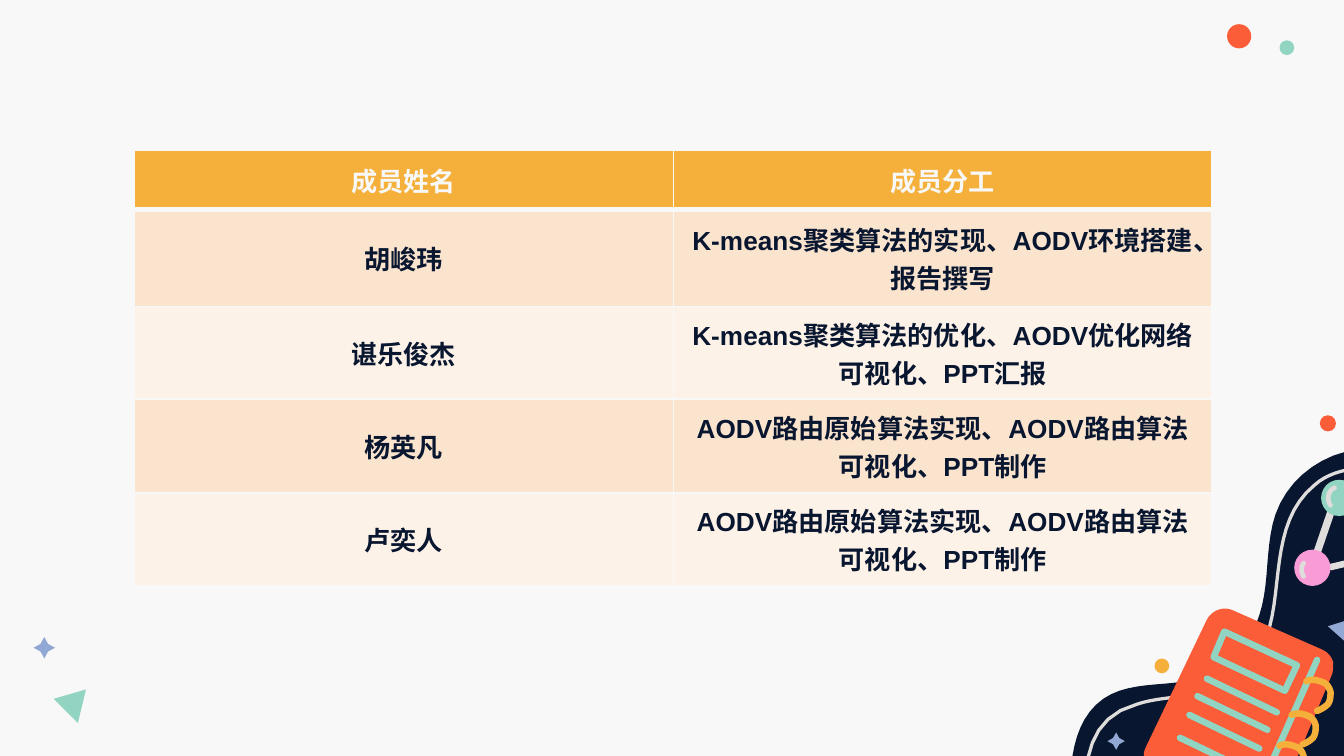
from dataclasses import dataclass

from lxml import etree
from pptx import Presentation
from pptx.dml.color import RGBColor
from pptx.enum.shapes import MSO_CONNECTOR as CONN, MSO_SHAPE as SHAPE
from pptx.enum.text import MSO_ANCHOR as ANCHOR, PP_ALIGN as ALIGN
from pptx.oxml.ns import qn
from pptx.util import Inches, Pt


@dataclass(frozen=True)
class Theme:
    paper: str = "F8F8F8"
    navy: str = "09162F"
    grey: str = "DFDCDC"
    mint: str = "91D4C1"
    pink: str = "F99BD5"
    coral: str = "FB5D38"
    amber: str = "F5B03B"
    blue: str = "91A7D4"
    band_dark: str = "FBE4CE"
    band_light: str = "FDF2E8"
    font: str = "Arial"
    text_size: int = 14
    border: int = 1
    header_border: int = 3


def flatten(start, segments, steps=10):
    """Turn line (x, y) and cubic (x1, y1, x2, y2, x, y) segments into points."""
    pts = [start]
    for seg in segments:
        if len(seg) == 2:
            pts.append(seg)
            continue
        ctrl = [pts[-1], seg[:2], seg[2:4], seg[4:]]
        for i in range(1, steps + 1):
            t = i / steps
            weights = ((1 - t) ** 3, 3 * t * (1 - t) ** 2, 3 * t * t * (1 - t), t ** 3)
            pts.append(tuple(sum(w * c[k] for w, c in zip(weights, ctrl)) for k in (0, 1)))
    return pts


def shift(pts, dx, dy):
    return [(x + dx, y + dy) for x, y in pts]


class SlideBuilder:
    def __init__(self, slide, theme):
        self.s, self.theme = slide, theme
        self._fill(slide.background, theme.paper)

    def _fill(self, target, color):
        fill = target.fill
        fill.solid()
        fill.fore_color.rgb = RGBColor.from_string(color)

    def _stroke(self, sp, color, width):
        """Give a line round ends and joins."""
        self._fill(sp.line, color)
        sp.line.width = Pt(width)
        ln = sp.line._ln
        ln.set("cap", "rnd")
        etree.SubElement(ln, qn("a:round"))

    def preset(self, kind, x, y, size, color):
        sp = self.s.shapes.add_shape(kind, Inches(x), Inches(y), Inches(size), Inches(size))
        sp.shadow.inherit = False
        self._fill(sp, color)
        sp.line.fill.background()
        return sp

    def dot(self, x, y, size, color):
        self.preset(SHAPE.OVAL, x, y, size, color)

    def sparkle(self, x, y, size, color):
        self.preset(SHAPE.STAR_4_POINT, x, y, size, color).adjustments[0] = 0.25

    def _freeform(self, pts, close):
        emu = [(Inches(x), Inches(y)) for x, y in pts]
        fb = self.s.shapes.build_freeform(*emu[0])
        fb.add_line_segments(emu[1:], close=close)
        sp = fb.convert_to_shape()
        sp.shadow.inherit = False
        return sp

    def area(self, pts, color):
        sp = self._freeform(pts, True)
        self._fill(sp, color)
        sp.line.fill.background()

    def outline(self, pts, color, width, close=False):
        sp = self._freeform(pts, close)
        sp.fill.background()
        self._stroke(sp, color, width)

    def line(self, start, end, color, width):
        c = self.s.shapes.add_connector(CONN.STRAIGHT, *map(Inches, start + end))
        self._stroke(c, color, width)
        etree.SubElement(c._element.spPr, qn("a:effectLst"))

    def _borders(self, cell, top, bottom):
        tcPr = cell._tc.get_or_add_tcPr()
        sides = {"a:lnL": self.theme.border, "a:lnR": self.theme.border,
                 "a:lnT": top, "a:lnB": bottom}
        for i, (tag, width) in enumerate(sides.items()):
            ln = etree.Element(qn(tag), w=str(Pt(width)))
            fill = etree.SubElement(ln, qn("a:solidFill"))
            etree.SubElement(fill, qn("a:srgbClr"), val=self.theme.paper)
            tcPr.insert(i, ln)

    def table(self, rows, x, y, col_width, heights):
        th, n_cols = self.theme, len(rows[0])
        tbl = self.s.shapes.add_table(len(rows), n_cols, Inches(x), Inches(y),
                                      Inches(col_width * n_cols), Inches(sum(heights))).table
        for col in tbl.columns:
            col.width = Inches(col_width)
        for i, (row, height) in enumerate(zip(rows, heights)):
            tbl.rows[i].height = Inches(height)
            band = th.amber if i == 0 else th.band_dark if i % 2 else th.band_light
            for j, text in enumerate(row):
                cell = tbl.cell(i, j)
                cell.text = text
                cell.vertical_anchor = ANCHOR.MIDDLE
                p = cell.text_frame.paragraphs[0]
                p.alignment = ALIGN.CENTER
                p.font.name, p.font.size, p.font.bold = th.font, Pt(th.text_size), True
                p.font.color.rgb = RGBColor.from_string(th.navy if i else th.paper)
                self._fill(cell, band)
                self._borders(cell, th.header_border if i == 1 else th.border,
                              th.header_border if i == 0 else th.border)


HILL = flatten((12.42, 5.84), [
    (12.57, 5.56, 12.57, 5.21, 12.43, 4.93), (12.38, 4.83, 12.31, 4.73, 12.28, 4.62),
    (12.22, 4.32, 12.21, 4.08, 12.42, 3.82), (12.51, 3.71, 12.63, 3.61, 12.76, 3.55),
    (12.78, 3.54, 12.85, 3.51, 12.93, 3.49), (12.93, 2.28), (11.28, 2.28),
    (11.33, 2.48, 11.38, 2.69, 11.35, 2.9), (11.32, 3.12, 11.19, 3.35, 10.98, 3.42),
    (10.92, 3.44, 10.87, 3.44, 10.81, 3.44), (10.61, 3.44, 10.4, 3.35, 10.19, 3.34),
    (9.88, 3.34, 9.59, 3.54, 9.49, 3.83), (9.41, 4.07, 9.45, 4.34, 9.37, 4.58),
    (9.3, 4.81, 9.1, 4.99, 8.87, 5.06), (8.65, 5.11, 8.4, 5.07, 8.21, 5.2),
    (8.01, 5.34, 7.97, 5.6, 7.96, 5.84)])
HILL_CONTOUR = flatten((8.08, 6.14), [
    (8.08, 5.86, 8.0, 5.36, 8.46, 5.24), (8.55, 5.21, 8.64, 5.2, 8.72, 5.19),
    (8.87, 5.17, 9.02, 5.15, 9.16, 5.08), (9.43, 4.91, 9.47, 4.62, 9.5, 4.33),
    (9.53, 4.07, 9.56, 3.79, 9.78, 3.61), (9.89, 3.51, 10.05, 3.48, 10.21, 3.48),
    (10.44, 3.48, 10.65, 3.54, 10.85, 3.54), (10.97, 3.54, 11.12, 3.51, 11.2, 3.46),
    (11.37, 3.35, 11.46, 3.16, 11.48, 2.89), (11.49, 2.7, 11.46, 2.48, 11.41, 2.22)])
COVER = flatten((9.92, 4.93), [
    (9.92, 4.96, 9.92, 4.99, 9.91, 5.02), (9.5, 6), (9.46, 6.08, 9.37, 6.11, 9.3, 6.08),
    (8.59, 5.75), (8.51, 5.71, 8.49, 5.62, 8.53, 5.55), (8.98, 4.61),
    (9.02, 4.54, 9.1, 4.51, 9.17, 4.54), (9.83, 4.83), (9.88, 4.85, 9.91, 4.89, 9.92, 4.93)])
COVER_LABEL = [(9.11, 4.7), (9.65, 4.95), (9.56, 5.14), (9.03, 4.89)]
RING = flatten((9.6, 5.77), [
    (9.63, 5.76, 9.66, 5.74, 9.68, 5.72), (9.7, 5.69, 9.7, 5.66, 9.7, 5.63),
    (9.69, 5.59, 9.67, 5.57, 9.65, 5.56), (9.6, 5.54, 9.56, 5.53, 9.52, 5.55)])
SHINE_TOP = flatten((9.93, 3.63), [(9.88, 3.65, 9.87, 3.72, 9.9, 3.76)])
SHINE_LEFT = flatten((9.7, 4.19), [(9.68, 4.22, 9.68, 4.25, 9.7, 4.29)])

MEMBERS = [
    ("成员姓名", "成员分工"),
    ("胡峻玮", "K-means聚类算法的实现、AODV环境搭建、报告撰写"),
    ("谌乐俊杰", "K-means聚类算法的优化、AODV优化网络可视化、PPT汇报"),
    ("杨英凡", "AODV路由原始算法实现、AODV路由算法可视化、PPT制作"),
    ("卢奕人", "AODV路由原始算法实现、AODV路由算法可视化、PPT制作"),
]


def draw_molecule(b, th):
    b.line((9.92, 3.76), (9.79, 4.14), th.grey, 4)
    b.line((9.9, 4.22), (10.24, 4.14), th.grey, 3.5)
    b.dot(9.83, 3.57, 0.27, th.mint)
    b.dot(9.63, 4.09, 0.27, th.pink)
    for shine in (SHINE_TOP, SHINE_LEFT):
        b.outline(shine, th.grey, 2.5)


def draw_notebook(b, th):
    b.area(COVER, th.coral)
    b.line((9.8, 4.91), (9.37, 5.88), th.mint, 3.5)
    for dx, dy in ((0, 0), (0.09, -0.23), (0.2, -0.48)):
        b.outline(shift(RING, dx, dy), th.amber, 3.5)
    b.outline(COVER_LABEL, th.mint, 3.5, close=True)
    for dx, dy in ((0, 0), (-0.07, 0.13), (-0.13, 0.27), (-0.2, 0.44)):
        b.line(*shift([(8.98, 5.05), (9.5, 5.3)], dx, dy), th.mint, 3.5)


def main():
    prs = Presentation()
    prs.slide_width = Inches(10)
    prs.slide_height = prs.slide_width * 9 // 16
    th = Theme()
    b = SlideBuilder(prs.slides.add_slide(prs.slide_layouts[6]), th)

    b.area(HILL, th.navy)
    b.outline(HILL_CONTOUR, th.grey, 1.75)
    draw_molecule(b, th)
    draw_notebook(b, th)

    b.area([(10.23, 4.55), (9.88, 4.66), (10.15, 4.9)], th.blue)
    b.area([(0.64, 5.13), (0.4, 5.2), (0.58, 5.38)], th.mint)
    for x, y, size, color in ((8.59, 4.9, 0.11, th.amber), (9.13, 0.18, 0.18, th.coral),
                              (9.52, 0.3, 0.11, th.mint), (9.82, 3.09, 0.12, th.coral)):
        b.dot(x, y, size, color)
    b.sparkle(8.24, 5.45, 0.13, th.blue)
    b.sparkle(0.25, 4.74, 0.16, th.blue)

    b.table(MEMBERS, 1, 1.12, 4.01, [0.44, 0.72, 0.69, 0.7, 0.69])
    prs.save("out.pptx")


if __name__ == "__main__":
    main()
